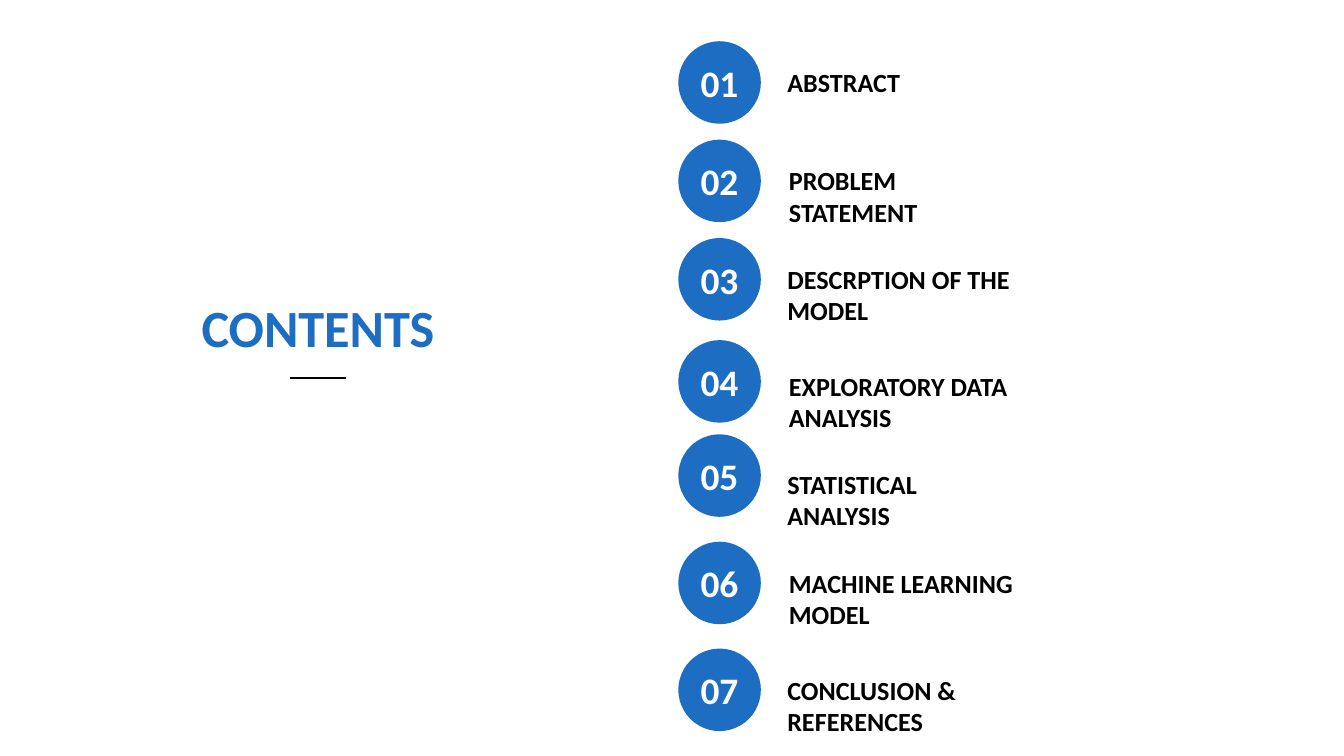
from typing import NamedTuple

from lxml.etree import SubElement
from pptx import Presentation
from pptx.dml.color import RGBColor
from pptx.enum.shapes import MSO_CONNECTOR, MSO_SHAPE
from pptx.enum.text import MSO_ANCHOR, MSO_AUTO_SIZE as AutoSize, PP_ALIGN
from pptx.oxml.ns import qn
from pptx.util import Cm, Pt

BLUE, BLACK, WHITE = "1D6DC2", "000000", "FFFFFF"
CIRCLE_LEFT, CIRCLE_SIZE = 12.82, 1.56
LABEL_LEFTS = 14.63, 14.66
LABEL_HEIGHT = 0.86


class Entry(NamedTuple):
    text: str
    circle_top: float
    label_top: float
    label_width: float


ENTRIES = [
    Entry("ABSTRACT", 0.78, 1.13, 2.75),
    Entry("PROBLEM STATEMENT", 2.64, 2.99, 5.0),
    Entry("DESCRPTION OF THE MODEL", 4.5, 4.85, 6.25),
    Entry("EXPLORATORY DATA ANALYSIS", 6.43, 6.87, 6.55),
    Entry("STATISTICAL ANALYSIS", 8.21, 8.73, 4.9),
    Entry("MACHINE LEARNING MODEL", 10.24, 10.6, 6.3),
    Entry("CONCLUSION & REFERENCES", 12.26, 12.62, 6.25),
]


def rgb(value: str) -> RGBColor:
    return RGBColor.from_string(value)


def write(sp, text: str, size: int, color: str, align, **frame) -> None:
    """Put one bold line of text in a shape; frame holds text frame settings."""
    tf = sp.text_frame
    for name, value in frame.items():
        setattr(tf, name, value)
    p = tf.paragraphs[0]
    p.alignment = align
    r = p.add_run()
    r.text = text
    font = {"name": "Calibri", "size": Pt(size), "bold": True}
    for name, value in font.items():
        setattr(r.font, name, value)
    r.font.color.rgb = rgb(color)


def add_heading(s) -> None:
    title = s.shapes.title
    box = {"left": 3.31, "top": 5.44, "width": 5.4, "height": 1.45}
    for name, value in box.items():
        setattr(title, name, Cm(value))
    write(title, "CONTENTS", 28, BLUE, PP_ALIGN.CENTER, word_wrap=False,
          auto_size=AutoSize.NONE, vertical_anchor=MSO_ANCHOR.MIDDLE)

    rule = s.shapes.add_connector(
        MSO_CONNECTOR.STRAIGHT, Cm(5.49), Cm(7.14), Cm(6.53), Cm(7.14))
    rule.line.color.rgb = rgb(BLACK)
    rule.line.width = Pt(1)
    SubElement(rule._element.spPr, qn("a:effectLst"))


def add_entry(s, index: int, entry: Entry) -> None:
    circle = s.shapes.add_shape(
        MSO_SHAPE.OVAL, Cm(CIRCLE_LEFT), Cm(entry.circle_top),
        Cm(CIRCLE_SIZE), Cm(CIRCLE_SIZE))
    circle.shadow.inherit = False
    circle.fill.solid()
    circle.fill.fore_color.rgb = rgb(BLUE)
    circle.line.fill.background()
    write(circle, f"{index + 1:02}", 20, WHITE, PP_ALIGN.CENTER,
          word_wrap=False, vertical_anchor=MSO_ANCHOR.MIDDLE)

    label = s.shapes.add_textbox(
        Cm(LABEL_LEFTS[index % 2]), Cm(entry.label_top),
        Cm(entry.label_width), Cm(LABEL_HEIGHT))
    write(label, entry.text, 14, BLACK, PP_ALIGN.LEFT, word_wrap=True,
          auto_size=AutoSize.NONE, vertical_anchor=MSO_ANCHOR.TOP)


def main() -> None:
    prs = Presentation()
    prs.slide_width, prs.slide_height = Cm(25.4), Cm(14.29)
    s = prs.slides.add_slide(prs.slide_layouts[5])
    add_heading(s)
    for index, entry in enumerate(ENTRIES):
        add_entry(s, index, entry)
    prs.save("out.pptx")


if __name__ == "__main__":
    main()
